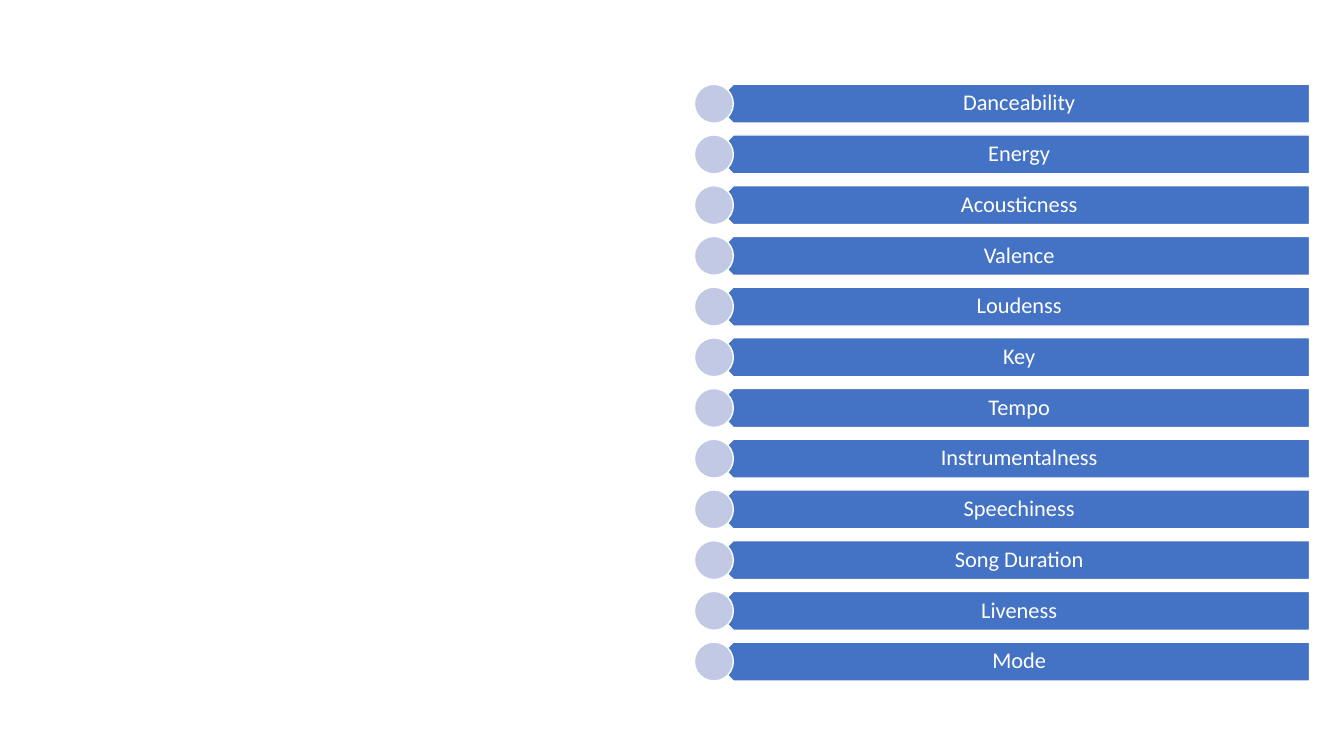
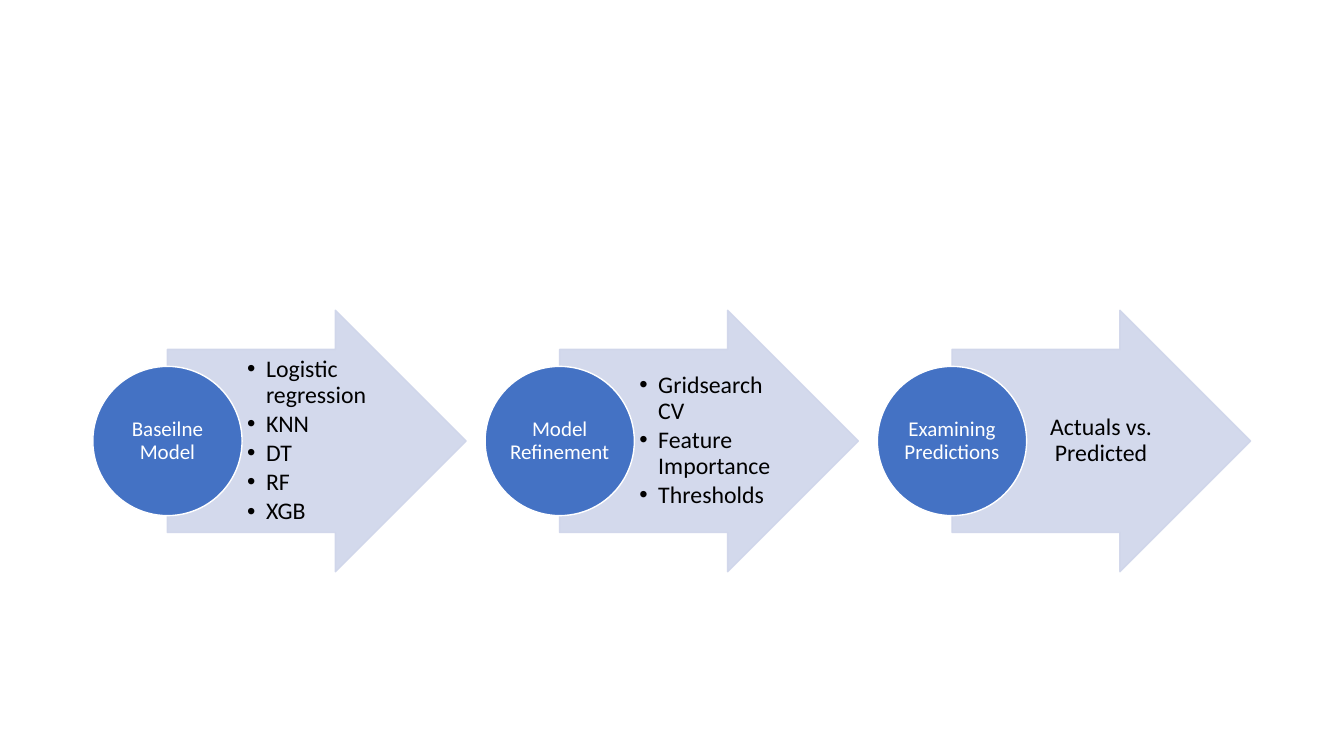
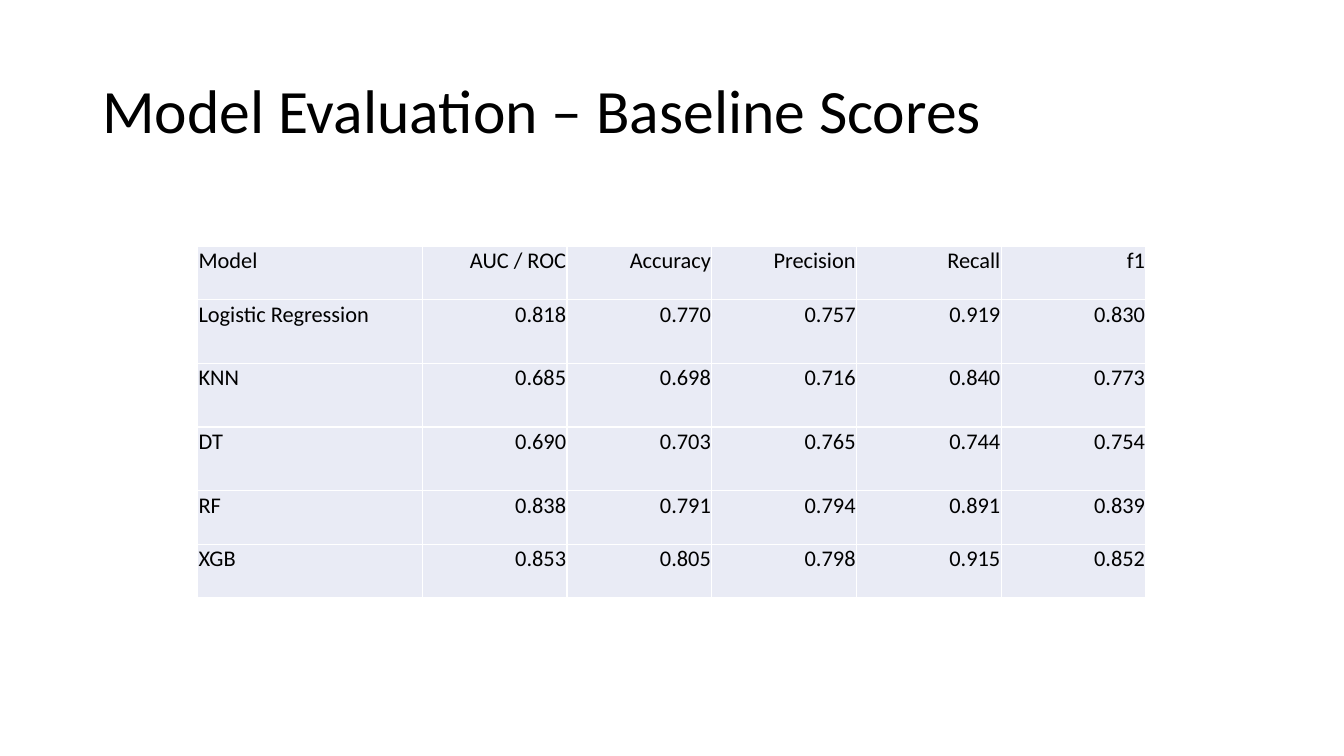
from dataclasses import dataclass

from lxml.etree import SubElement as Sub
from pptx import Presentation
from pptx.dml.color import RGBColor as Rgb
from pptx.enum.shapes import MSO_SHAPE as Kind
from pptx.enum.text import MSO_ANCHOR as Anchor, PP_ALIGN as Align
from pptx.oxml.ns import qn
from pptx.util import Pt


@dataclass(frozen=True)
class Theme:
    font: str = "Calibri"
    ink: str = "000000"
    white: str = "FFFFFF"
    blue: str = "4472C4"
    dot: str = "C1C9E4"
    arrow: str = "CFD5EA"
    cell: str = "E9EBF5"
    title: float = 44
    body: float = 17
    label: float = 16
    step: float = 15
    line: float = 1
    lead: float = 0.9


class Deck:
    def __init__(self, theme):
        self.theme = theme
        self.prs = Presentation()
        self.prs.slide_width, self.prs.slide_height = Pt(960), Pt(540)
        self.slide = None

    def page(self):
        self.slide = self.prs.slides.add_slide(self.prs.slide_layouts[6])

    def shape(self, kind, box, fill, line, alpha=None):
        item = self.slide.shapes.add_shape(kind, *map(Pt, box))
        item.shadow.inherit = False
        item.fill.solid()
        item.fill.fore_color.rgb = Rgb.from_string(fill)
        item.line.color.rgb = Rgb.from_string(line)
        item.line.width = Pt(self.theme.line)
        if alpha:
            for tint in item._element.spPr.iter(qn("a:srgbClr")):
                Sub(tint, qn("a:alpha"), val=str(alpha * 1000))
        return item

    def text(self, item, lines, size, color, pads, align=Align.CENTER, dots=False):
        frame = item.text_frame
        frame.word_wrap = True
        frame.vertical_anchor = Anchor.MIDDLE
        self.pad(frame, pads)
        frame.text = "\n".join(lines)
        for para in frame.paragraphs:
            para.line_spacing = self.theme.lead
            if dots:
                para.space_after = Pt(2.5)
                self.dot(para)
            self.style(para, size, color, align)

    def pad(self, item, pads):
        (item.margin_left, item.margin_top,
         item.margin_right, item.margin_bottom) = map(Pt, pads)

    def dot(self, para):
        props = para._p.get_or_add_pPr()
        props.set("marL", str(Pt(13.5)))
        props.set("indent", str(-Pt(13.5)))
        Sub(props, qn("a:buFont"), typeface="Arial")
        Sub(props, qn("a:buChar"), char="•")

    def style(self, para, size, color, align):
        para.alignment = align
        para.font.name = self.theme.font
        para.font.size = Pt(size)
        para.font.color.rgb = Rgb.from_string(color)

    def label(self, box, lines, size, color, pads, align=Align.CENTER, dots=False):
        item = self.slide.shapes.add_textbox(*map(Pt, box))
        self.text(item, lines, size, color, pads, align, dots)

    def title(self, text):
        self.label((66, 28.75, 828, 104.4), [text], self.theme.title,
                   self.theme.ink, (7.2, 3.6, 7.2, 3.6), Align.LEFT)

    def bar(self, top, text):
        look, high = self.theme, 27.8
        plate = self.shape(Kind.PENTAGON, (509.9, top, 425.5, high), look.blue, look.white)
        plate.rotation = 180
        self.label((517, top, 418.4, high), [text], look.label, look.white,
                   (12.2, 5, 8.6, 5))
        self.shape(Kind.OVAL, (496, top, high, high), look.dot, look.white)

    def step(self, left, name, notes):
        look, mid, size, high = self.theme, 315, 106.6, 186.8
        arrow = self.shape(Kind.RIGHT_ARROW,
                           (left + size / 2, mid - high / 2, 213.4, high),
                           look.arrow, look.arrow, 90)
        arrow.adjustments[0], arrow.adjustments[1] = 0.7, 0.5
        dots = len(notes) > 1
        self.label((left + size, mid - 65.2, 104.4, 130.4), notes, look.body,
                   look.ink, (3.6, 0.8, 1.6, 0.8),
                   Align.LEFT if dots else Align.CENTER, dots)
        disc = self.shape(Kind.OVAL, (left, mid - size / 2, size, size),
                          look.blue, look.white)
        self.text(disc, [name], look.step, look.white, [0.8] * 4)

    def table(self, left, top, wide, high, rows):
        box = (left, top, sum(wide), sum(high))
        grid = self.slide.shapes.add_table(len(high), len(wide), *map(Pt, box)).table
        grid.first_row = grid.horz_banding = False
        for col, size in zip(grid.columns, wide):
            col.width = Pt(size)
        for row, size, data in zip(grid.rows, high, rows):
            row.height = Pt(size)
            for num, (cell, value) in enumerate(zip(row.cells, data)):
                self.cell(cell, value, Align.RIGHT if num else Align.LEFT)

    def cell(self, cell, value, align):
        look = self.theme
        cell.text = value
        self.pad(cell, (0.7, 0.7, 0.7, 0))
        self.style(cell.text_frame.paragraphs[0], look.label, look.ink, align)
        props = cell._tc.get_or_add_tcPr()
        for side in "LRTB":
            edge = Sub(props, qn("a:ln" + side), w=str(Pt(look.line)))
            Sub(Sub(edge, qn("a:solidFill")), qn("a:srgbClr"), val=look.white)
        cell.fill.solid()
        cell.fill.fore_color.rgb = Rgb.from_string(look.cell)


TRAITS = ["Danceability", "Energy", "Acousticness", "Valence", "Loudenss", "Key",
          "Tempo", "Instrumentalness", "Speechiness", "Song Duration", "Liveness",
          "Mode"]

STEPS = [
    ("Baseilne Model", ["Logistic regression", "KNN", "DT", "RF", "XGB"]),
    ("Model Refinement", ["Gridsearch CV", "Feature Importance", "Thresholds"]),
    ("Examining Predictions", ["Actuals vs. Predicted"]),
]

SCORES = [
    ("Model", "AUC / ROC", "Accuracy", "Precision", "Recall", "f1"),
    ("Logistic Regression", "0.818", "0.770", "0.757", "0.919", "0.830"),
    ("KNN", "0.685", "0.698", "0.716", "0.840", "0.773"),
    ("DT", "0.690", "0.703", "0.765", "0.744", "0.754"),
    ("RF", "0.838", "0.791", "0.794", "0.891", "0.839"),
    ("XGB", "0.853", "0.805", "0.798", "0.915", "0.852"),
]


def main():
    deck = Deck(Theme())

    deck.page()
    for num, trait in enumerate(TRAITS):
        deck.bar(60.2 + num * 36.22, trait)

    deck.page()
    for num, (name, notes) in enumerate(STEPS):
        deck.step(66.3 + num * 280.2, name, notes)

    deck.page()
    deck.title("Model Evaluation – Baseline Scores")
    low, tall = 38.2, 45.5
    deck.table(141.2, 175.9, [160.5] + [103.4] * 5,
               [low, tall, tall, tall, low, low], SCORES)

    deck.prs.save("out.pptx")


if __name__ == "__main__":
    main()
